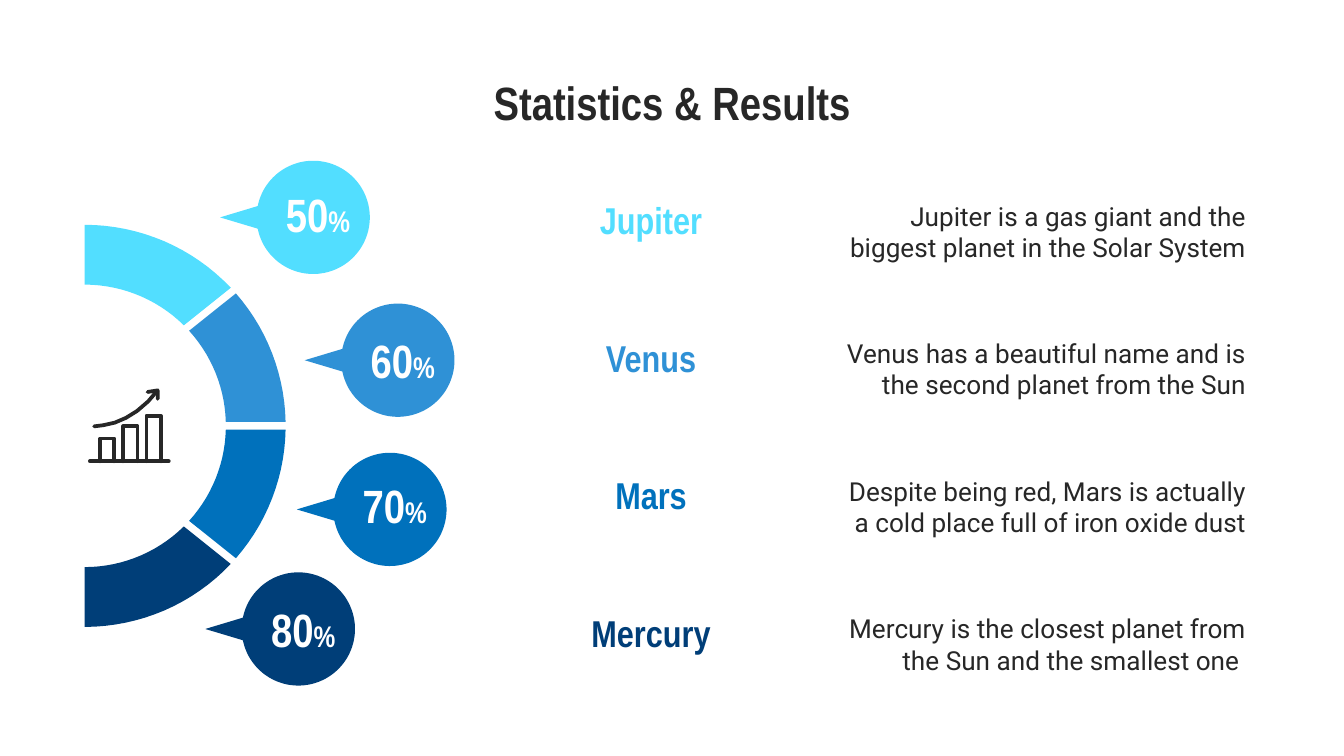
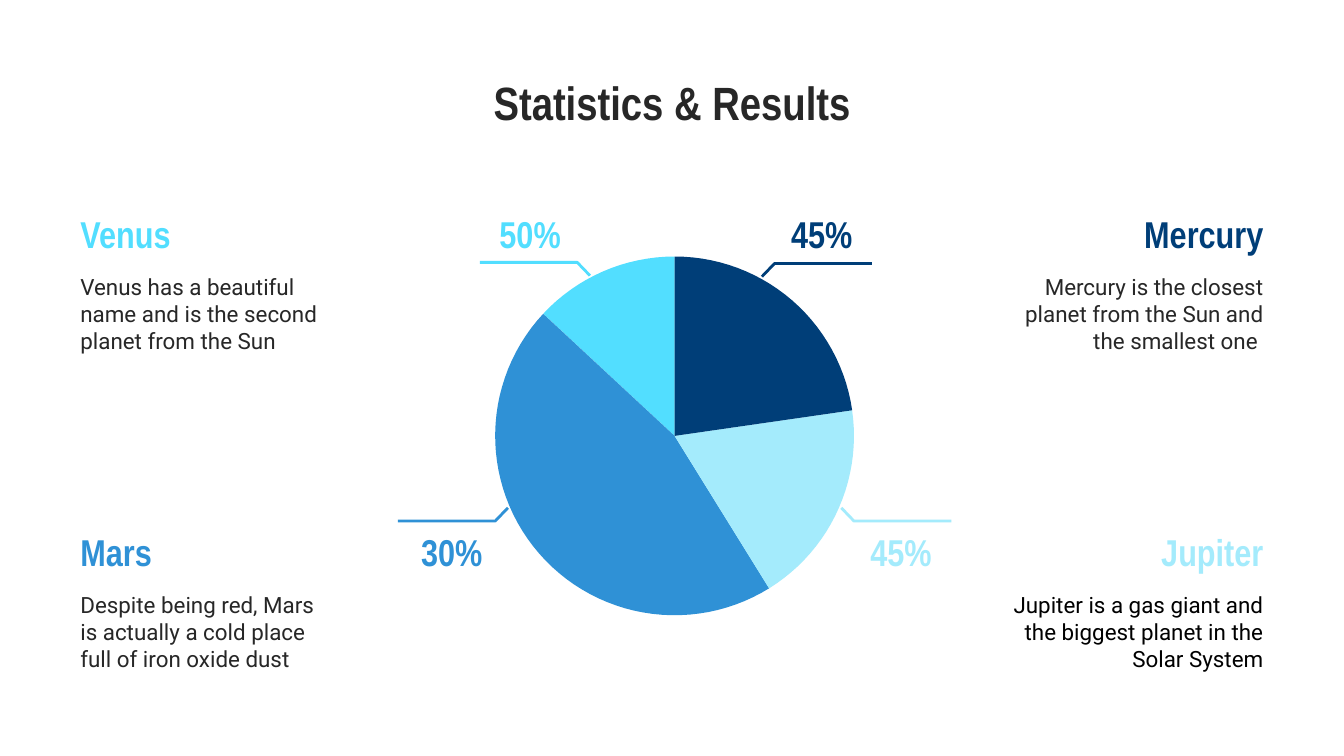
import math
from dataclasses import dataclass

import pptx
import pptx.dml.color
import pptx.enum.text
import pptx.oxml.ns
import pptx.shapes.autoshape
import pptx.slide
import pptx.util

Cm = pptx.util.Cm
Pt = pptx.util.Pt
RGBColor = pptx.dml.color.RGBColor
ALIGN = pptx.enum.text.PP_ALIGN
ANCHOR = pptx.enum.text.MSO_ANCHOR
Point = tuple[float, float]

# Shared look
INK = RGBColor(0x27, 0x27, 0x27)
BLACK = RGBColor(0, 0, 0)
WHITE = RGBColor(0xFF, 0xFF, 0xFF)
CYAN = RGBColor(0x52, 0xDE, 0xFF)
SKY = RGBColor(0x2F, 0x91, 0xD6)
BLUE = RGBColor(0x00, 0x71, 0xBC)
NAVY = RGBColor(0x00, 0x3E, 0x78)
PALE = RGBColor(0xA4, 0xEB, 0xFC)
HEADING_FONT = "Arial Narrow"
BODY_FONT = "Roboto"
INSET = Cm(0.25)
TITLE = "Statistics & Results"

DESCRIPTIONS = {
    "Jupiter": "Jupiter is a gas giant and the biggest planet in the Solar System",
    "Venus": "Venus has a beautiful name and is the second planet from the Sun",
    "Mars": "Despite being red, Mars is actually a cold place full of iron oxide dust",
    "Mercury": "Mercury is the closest planet from the Sun and the smallest one ",
}


@dataclass(frozen=True)
class Box:
    """A rectangle in centimetres."""
    left: float
    top: float
    width: float
    height: float


@dataclass(frozen=True)
class Style:
    size: float
    color: RGBColor
    align: ALIGN
    font: str = HEADING_FONT
    bold: bool = True
    anchor: ANCHOR = ANCHOR.TOP


@dataclass(frozen=True)
class Statistic:
    """A ring segment with its callout and its row of text; angles in degrees."""
    planet: str
    value: str
    color: RGBColor
    callout: Point
    value_top: float
    outer: Point
    inner: Point


@dataclass(frozen=True)
class Slice:
    """A pie slice with its leader, percentage and text block."""
    planet: str
    value: str
    color: RGBColor
    angles: Point
    leader: Point
    side: int  # -1 left of the pie, 1 right
    rise: int  # -1 upper half, 1 lower half
    value_left: float
    body_color: RGBColor = INK


STATISTICS = [
    Statistic("Jupiter", "50", CYAN, (5.92, 4.11), 3.53, (-90, -43.4), (-90, -45.4)),
    Statistic("Venus", "60", SKY, (7.52, 6.81), 6.3, (-41.2, -1.1), (-42.3, -1.6)),
    Statistic("Mars", "70", BLUE, (7.37, 9.63), 9.04, (1.1, 41.2), (1.6, 42.3)),
    Statistic("Mercury", "80", NAVY, (5.64, 11.89), 11.38, (43.4, 90), (45.4, 90)),
]

SLICES = [
    Slice("Venus", "50%", CYAN, (222.9, 270), (11.15, 5.21), -1, -1, 9.07),
    Slice("Mars", "30%", SKY, (58.2, 222.9), (9.6, 9.6), -1, 1, 7.59),
    Slice("Jupiter", "45%", PALE, (-8.2, 58.2), (15.9, 9.6), 1, 1, 16.08, BLACK),
    Slice("Mercury", "45%", NAVY, (-90, -8.2), (14.4, 5.23), 1, -1, 14.58),
]

RING_CENTER, RING_OUTER, RING_INNER = (1.6, 8.05), 3.8, 2.67
CALLOUT_RADIUS, CALLOUT_TAIL = 1.07, 1.76
ROW_TOP, ROW_STEP = 3.48, 2.6
PIE_CENTER, PIE_RADIUS = (12.75, 8.24), 3.39

# Strokes of the growth icon: baseline, three bars, curve, arrowhead
ICON_BASE = 8.72
ICON_BARS = [(1.89, 8.29), (2.33, 8.06), (2.77, 7.86)]
ICON_BAR_WIDTH = 0.27
ICON_STROKES = [
    [(1.7, ICON_BASE), (3.19, ICON_BASE)],
    *[[(x, ICON_BASE), (x, top), (x + ICON_BAR_WIDTH, top), (x + ICON_BAR_WIDTH, ICON_BASE)]
      for x, top in ICON_BARS],
    [(1.78, 8.06), (1.95, 8.04), (2.17, 7.99), (2.38, 7.9), (2.59, 7.77), (2.8, 7.59), (2.98, 7.38)],
    [(2.79, 7.41), (2.98, 7.38), (2.98, 7.54)],
]


# Text
def format_runs(frame: pptx.text.text.TextFrame, style: Style) -> None:
    frame.word_wrap = True
    frame.auto_size = pptx.enum.text.MSO_AUTO_SIZE.NONE
    frame.vertical_anchor = style.anchor
    frame.margin_left = frame.margin_right = INSET
    frame.margin_top = frame.margin_bottom = INSET
    for paragraph in frame.paragraphs:
        paragraph.alignment = style.align
        for run in paragraph.runs:
            run.font.name = style.font
            run.font.size = Pt(style.size)
            run.font.bold = style.bold
            run.font.color.rgb = style.color


def add_text(slide: pptx.slide.Slide, box: Box, text: str, style: Style,
             small_suffix: str = "") -> None:
    frame = slide.shapes.add_textbox(
        Cm(box.left), Cm(box.top), Cm(box.width), Cm(box.height)).text_frame
    frame.text = text
    if small_suffix:
        suffix = frame.paragraphs[0].add_run()
        suffix.text = small_suffix
    format_runs(frame, style)
    if small_suffix:
        suffix.font.size = Pt(16)


def add_titled_slide(deck: pptx.presentation.Presentation) -> pptx.slide.Slide:
    slide = deck.slides.add_slide(deck.slide_layouts[5])
    title = slide.shapes.title
    title.left, title.top, title.width, title.height = Cm(1.27), Cm(1.14), Cm(22.86), Cm(1.37)
    title.text_frame.text = TITLE
    format_runs(title.text_frame, Style(25, INK, ALIGN.CENTER))
    return slide


# Outlines
def arc(center: Point, radius: float, start: float, end: float) -> list[Point]:
    """Points along an arc; degrees run clockwise from three o'clock."""
    steps = max(8, math.ceil(abs(end - start) / 3))
    angles = [math.radians(start + (end - start) * i / steps) for i in range(steps + 1)]
    return [(center[0] + radius * math.cos(a), center[1] + radius * math.sin(a)) for a in angles]


def build_outline(shapes, points: list[Point], close: bool) -> pptx.shapes.autoshape.Shape:
    start, *rest = [(Cm(x), Cm(y)) for x, y in points]
    builder = shapes.build_freeform(*start)
    builder.add_line_segments(rest, close=close)
    outline = builder.convert_to_shape()
    outline.shadow.inherit = False
    return outline


def add_area(slide: pptx.slide.Slide, points: list[Point], color: RGBColor) -> None:
    area = build_outline(slide.shapes, points, True)
    area.fill.solid()
    area.fill.fore_color.rgb = color
    area.line.fill.background()


def add_stroke(shapes, points: list[Point], color: RGBColor, width: float,
               cap: str = "flat") -> None:
    stroke = build_outline(shapes, points, False)
    stroke.fill.background()
    stroke.line.color.rgb = color
    stroke.line.width = Pt(width)
    stroke.element.spPr.find(pptx.oxml.ns.qn("a:ln")).set("cap", cap)


# Slide 1: half ring with callouts
def add_statistic(slide: pptx.slide.Slide, stat: Statistic, row: int) -> None:
    x, y = stat.callout
    tip = (x - CALLOUT_TAIL, y)
    add_area(slide, [tip, *arc(stat.callout, CALLOUT_RADIUS, -168.5, 168.5)], stat.color)
    add_area(slide, arc(RING_CENTER, RING_OUTER, *stat.outer)
             + arc(RING_CENTER, RING_INNER, *reversed(stat.inner)), stat.color)
    add_text(slide, Box(x + CALLOUT_RADIUS - 1.96, stat.value_top, 1.96, 1.02), stat.value,
             Style(25, WHITE, ALIGN.CENTER, anchor=ANCHOR.MIDDLE), "%")
    top = ROW_TOP + row * ROW_STEP
    add_text(slide, Box(10.54, top, 3.53, 1.32), stat.planet,
             Style(20, stat.color, ALIGN.CENTER))
    add_text(slide, Box(15.49, top + 0.05, 8.31, 2.01), DESCRIPTIONS[stat.planet],
             Style(14, INK, ALIGN.RIGHT, BODY_FONT, False))


def build_ring_slide(deck: pptx.presentation.Presentation) -> None:
    slide = add_titled_slide(deck)
    for row, stat in enumerate(STATISTICS):
        add_statistic(slide, stat, row)
    icon = slide.shapes.add_group_shape()
    for points in ICON_STROKES:
        add_stroke(icon.shapes, points, INK, 2, "rnd")


# Slide 2: pie with leaders
def add_slice(slide: pptx.slide.Slide, part: Slice) -> None:
    add_area(slide, [PIE_CENTER, *arc(PIE_CENTER, PIE_RADIUS, *part.angles)], part.color)
    x, y = part.leader
    level = y + part.rise * 0.25
    add_stroke(slide.shapes, [(x, y), (x + part.side * 0.24, level),
                              (x + part.side * 2.08, level)], part.color, 1.5)
    top = 3.84 if part.rise < 0 else 9.86
    left, align = (1.27, ALIGN.LEFT) if part.side < 0 else (18.9, ALIGN.RIGHT)
    add_text(slide, Box(part.value_left, top, 1.9, 1.14), part.value,
             Style(20, part.color, ALIGN.CENTER, anchor=ANCHOR.MIDDLE))
    add_text(slide, Box(left, top, 5.23, 1.14), part.planet,
             Style(20, part.color, align, anchor=ANCHOR.MIDDLE))
    add_text(slide, Box(left, top + 1.07, 5.23, 2.01), DESCRIPTIONS[part.planet],
             Style(12, part.body_color, align, BODY_FONT, False))


def build_pie_slide(deck: pptx.presentation.Presentation) -> None:
    slide = add_titled_slide(deck)
    for part in SLICES:
        add_slice(slide, part)


def main() -> None:
    deck = pptx.Presentation()
    deck.slide_width, deck.slide_height = Cm(25.4), Cm(14.29)
    build_ring_slide(deck)
    build_pie_slide(deck)
    deck.save("out.pptx")


if __name__ == "__main__":
    main()
